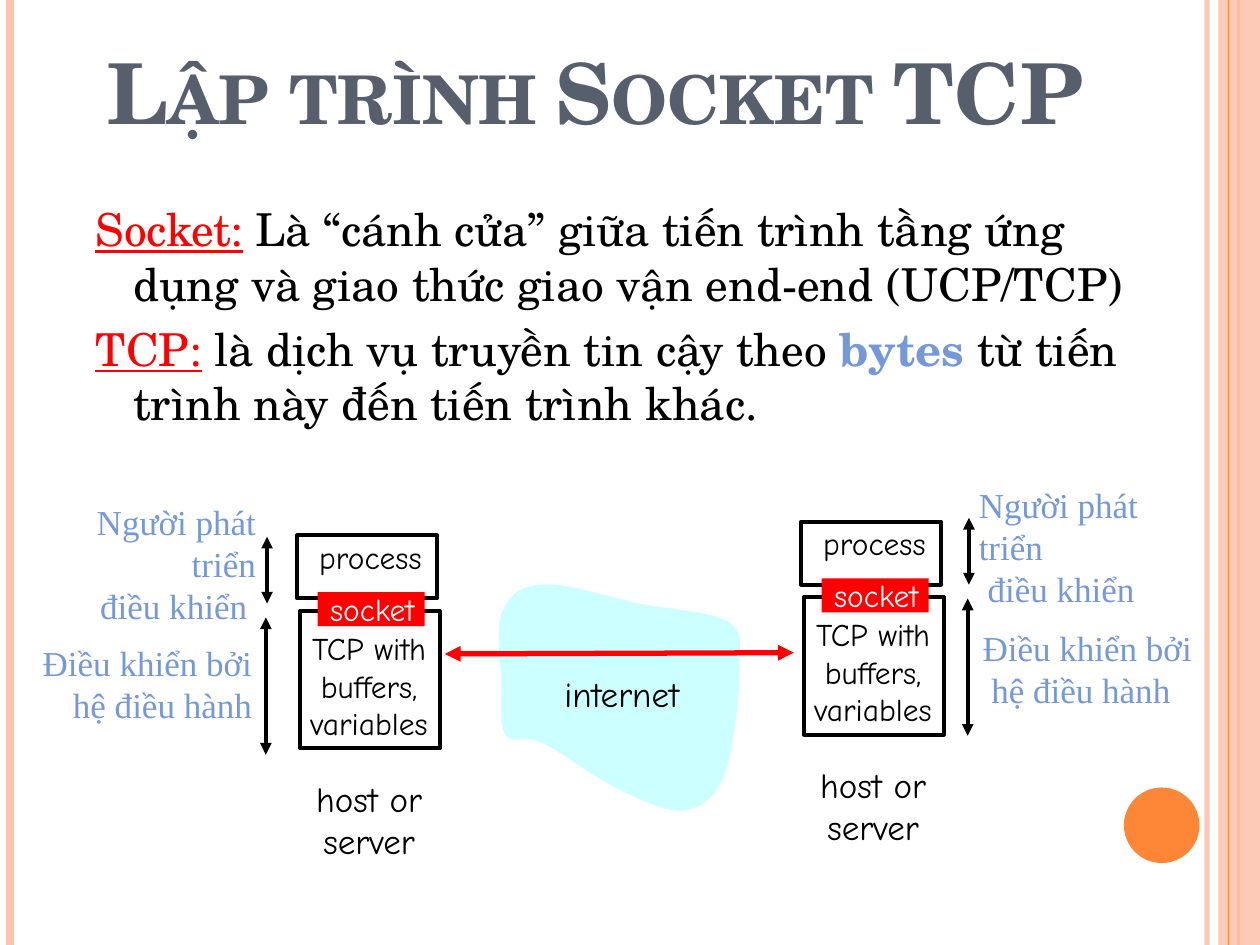
import pptx
import pptx.util
import pptx.dml.color
import pptx.enum.shapes
import pptx.enum.text
import pptx.oxml
import pptx.oxml.ns

Inches, Pt = pptx.util.Inches, pptx.util.Pt
RGB = pptx.dml.color.RGBColor
SHAPE = pptx.enum.shapes.MSO_SHAPE
ANCHOR = pptx.enum.text.MSO_ANCHOR
ALIGN = pptx.enum.text.PP_ALIGN
qn = pptx.oxml.ns.qn

PEACH, ORANGE = RGB(0xFE, 0xC3, 0xAE), RGB(0xFE, 0x86, 0x37)
SLATE, BLUE = RGB(0x57, 0x5F, 0x6D), RGB(0x75, 0x98, 0xD9)
RED, CYAN = RGB(0xFF, 0, 0), RGB(0xCC, 0xFF, 0xFF)
BLACK, WHITE = RGB(0, 0, 0), RGB(0xFF, 0xFF, 0xFF)
SERIF, HAND, LABEL = "TeX Gyre Schola", "Comic Neue", "Times New Roman"

# Internet cloud: start point, then cubic curves (two controls and an end)
CLOUD_START = (4.3, 4.64)
CLOUD_CURVES = [
    ((4.12, 4.65), (4.04, 4.73), (3.99, 4.85)),
    ((3.93, 4.98), (3.97, 5.22), (3.98, 5.39)),
    ((3.98, 5.55), (3.96, 5.75), (4.01, 5.83)),
    ((4.07, 5.92), (4.16, 5.82), (4.31, 5.9)),
    ((4.46, 5.97), (4.73, 6.18), (4.92, 6.27)),
    ((5.11, 6.36), (5.31, 6.46), (5.45, 6.43)),
    ((5.59, 6.4), (5.69, 6.31), (5.76, 6.12)),
    ((5.83, 5.92), (5.87, 5.47), (5.87, 5.27)),
    ((5.87, 5.08), (5.9, 5.01), (5.77, 4.93)),
    ((5.64, 4.85), (5.32, 4.84), (5.07, 4.79)),
    ((4.83, 4.74), (4.48, 4.62), (4.3, 4.64)),
]


def set_opacity(fill_parent, percent):
    color = next(fill_parent.iter(qn("a:srgbClr")))
    alpha = pptx.oxml.parse_xml(
        '<a:alpha xmlns:a="http://schemas.openxmlformats.org/drawingml/2006/main"'
        f' val="{percent * 1000}"/>')
    color.append(alpha)


def add_line(shapes, start, end, color, width, arrows=False):
    line = shapes.add_connector(pptx.enum.shapes.MSO_CONNECTOR.STRAIGHT,
                                *map(Inches, start + end))
    line.line.color.rgb = color
    line.line.width = Pt(width)
    properties = line._element.spPr
    if arrows:
        outline = properties.find(qn("a:ln"))
        for tag in ("a:headEnd", "a:tailEnd"):
            outline.append(outline.makeelement(qn(tag), {"type": "triangle"}))
    properties.append(properties.makeelement(qn("a:effectLst"), {}))
    return line


def paint(shape, fill=None, outline=None):
    shape.shadow.inherit = False
    if fill is None:
        shape.fill.background()
    else:
        shape.fill.solid()
        shape.fill.fore_color.rgb = fill
    if outline is None:
        shape.line.fill.background()
    else:
        shape.line.color.rgb = outline
        shape.line.width = Pt(2.25)


def add_box(shapes, kind, box, fill=None, outline=None):
    shape = shapes.add_shape(kind, *map(Inches, box))
    paint(shape, fill, outline)
    return shape


def add_label(shapes, box, text, size, font=HAND, color=BLACK,
              align=ALIGN.CENTER, wrap=False):
    frame = shapes.add_textbox(*map(Inches, box)).text_frame
    frame.word_wrap = wrap
    frame.vertical_anchor = ANCHOR.MIDDLE
    frame.text = text
    for paragraph in frame.paragraphs:
        paragraph.alignment = align
        paragraph.font.size = Pt(size)
        paragraph.font.name = font
        paragraph.font.color.rgb = color


def add_side_decoration(shapes, height):
    def stripe(x, color, width):
        return add_line(shapes, (x, 0), (x, height), color, width)

    inner = stripe(9.58, PEACH, 3)
    set_opacity(inner._element.spPr, 93)
    stripe(0.08, PEACH, 4.5)
    stripe(9.83, ORANGE, 1.5)
    band = add_box(shapes, SHAPE.RECTANGLE, (9.67, 0, 0.33, height), PEACH)
    set_opacity(band._element.spPr, 87)
    stripe(9.75, ORANGE, 0.75)
    add_box(shapes, SHAPE.OVAL, (8.92, 6.25, 0.6, 0.6), ORANGE)


def fill_title(title, box):
    title.left, title.top, title.width, title.height = map(Inches, box)
    frame = title.text_frame
    frame.text = "Lập trình Socket TCP"
    frame.auto_size = pptx.enum.text.MSO_AUTO_SIZE.NONE
    frame.vertical_anchor = ANCHOR.BOTTOM
    frame.paragraphs[0].alignment = ALIGN.LEFT
    run = frame.paragraphs[0].runs[0]
    run.font.name, run.font.size, run.font.bold = SERIF, Pt(48), True
    run.font.color.rgb = SLATE
    run._r.get_or_add_rPr().set("cap", "small")


def add_definitions(shapes, box):
    definitions = [
        [("Socket:", RED),
         (" Là “cánh cửa” giữa tiến trình tầng ứng dụng và giao thức "
          "giao vận end-end (UCP/TCP)", BLACK)],
        [("TCP:", RED), (" là dịch vụ truyền tin cậy theo ", BLACK),
         ("bytes ", BLUE), ("từ tiến trình này đến tiến trình khác.", BLACK)],
    ]
    frame = shapes.add_textbox(*map(Inches, box)).text_frame
    frame.word_wrap = True
    for index, definition in enumerate(definitions):
        paragraph = frame.add_paragraph() if index else frame.paragraphs[0]
        if index:
            paragraph.space_before = Pt(6)
        properties = paragraph._p.get_or_add_pPr()
        properties.set("marL", str(Inches(0.3)))
        properties.set("indent", str(-Inches(0.3)))
        for text, color in definition:
            run = paragraph.add_run()
            run.text = text
            run.font.name, run.font.size = SERIF, Pt(25.9)
            run.font.color.rgb = color
            run.font.underline = color == RED
            run.font.bold = color == BLUE


def add_host(shapes, left, top):
    def at(x, y, width, height):
        return left + x, top + y, width, height

    stack = shapes.add_group_shape().shapes
    add_box(stack, SHAPE.RECTANGLE, at(0, 0, 1.11, 0.5), WHITE, BLACK)
    add_label(stack, at(0.03, -0.03, 1.1, 0.4), "process", 18)
    add_label(stack, at(-0.05, 0.69, 1.24, 1),
              "TCP with\nbuffers,\nvariables", 18)
    add_box(stack, SHAPE.RECTANGLE, at(0.02, 0.6, 1.11, 1.09), outline=BLACK)
    add_box(stack, SHAPE.RECTANGLE, at(0.16, 0.45, 0.85, 0.27), RED)
    add_label(stack, at(0.11, 0.38, 0.97, 0.4), "socket", 18, color=WHITE)
    add_label(shapes, at(0, 1.87, 1.14, 0.77), "host or\nserver", 20)


def add_control_notes(shapes, developer_box, system_box, arrow_x, top, align):
    # A trailing space holds the right-aligned line off the edge
    ending = " " if align == ALIGN.RIGHT else ""
    add_label(shapes, developer_box, "Người phát triển\n điều khiển" + ending,
              20, LABEL, BLUE, align, wrap=True)
    add_label(shapes, system_box, "Điều khiển bởi\n hệ điều hành",
              20, LABEL, BLUE, align)
    for x, first, last in ((arrow_x, 0.01, 0.54),
                           (arrow_x - 0.01, 0.65, 1.74)):
        add_line(shapes, (x, top + last), (x, top + first), BLACK, 2.25, True)


def add_internet(shapes, label_box, steps=10):
    points, start = [], CLOUD_START
    for curve in CLOUD_CURVES:
        for step in range(1, steps + 1):
            t = step / steps
            weights = ((1 - t) ** 3, 3 * t * (1 - t) ** 2,
                       3 * t * t * (1 - t), t ** 3)
            points.append(tuple(
                Inches(sum(w * c for w, c in zip(weights, axis)))
                for axis in zip(start, *curve)))
        start = curve[-1]
    builder = shapes.build_freeform(*map(Inches, CLOUD_START))
    builder.add_line_segments(points, close=True)
    paint(builder.convert_to_shape(), CYAN)
    add_label(shapes, label_box, "internet", 20)


def main():
    presentation = pptx.Presentation()
    presentation.slide_width, presentation.slide_height = Inches(10), Inches(7.5)
    slide = presentation.slides.add_slide(presentation.slide_layouts[5])
    shapes = slide.shapes

    add_side_decoration(shapes, 7.5)
    fill_title(shapes.title, (0.75, 0.17, 8.5, 1))
    add_definitions(shapes, (0.66, 1.55, 8.5, 1.68))

    # Two hosts, each with the notes on who controls its layers
    add_host(shapes, 2.36, 4.25)
    add_control_notes(shapes, (0.09, 4.09, 2.04, 0.77),
                      (0.24, 5.04, 1.86, 0.77), 2.12, 4.25, ALIGN.RIGHT)
    add_host(shapes, 6.36, 4.14)
    add_control_notes(shapes, (7.67, 3.95, 2.04, 0.77),
                      (7.7, 4.92, 1.86, 0.77), 7.69, 4.1, ALIGN.LEFT)

    # Connection through the internet
    add_internet(shapes, (4.3, 5.29, 1.27, 0.43))
    add_line(shapes, (6.3, 5.18), (3.53, 5.19), RED, 3, True)

    presentation.save("out.pptx")


if __name__ == "__main__":
    main()
